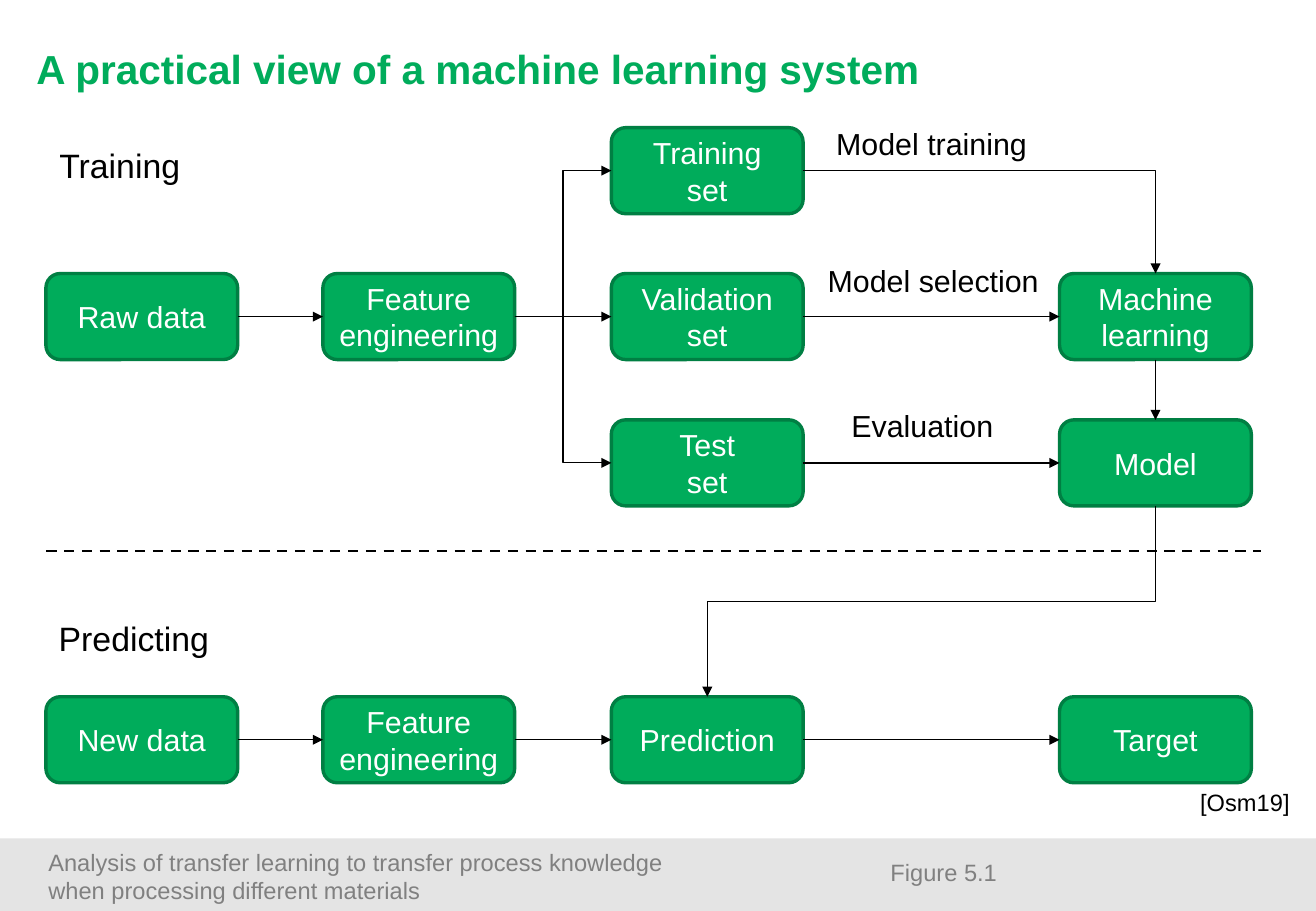
from dataclasses import dataclass

import pptx
import pptx.dml.color
import pptx.enum.dml
import pptx.enum.shapes
import pptx.enum.text
import pptx.oxml
import pptx.oxml.ns
import pptx.shapes.autoshape
import pptx.shapes.connector
import pptx.slide
import pptx.text.text
import pptx.util

Cm = pptx.util.Cm
Align = pptx.enum.text.PP_ALIGN
Anchor = pptx.enum.text.MSO_ANCHOR
ShapeKind = pptx.enum.shapes.MSO_SHAPE
ConnectorKind = pptx.enum.shapes.MSO_CONNECTOR
Color = pptx.dml.color.RGBColor
qn = pptx.oxml.ns.qn

GREEN = Color(0x00, 0xAC, 0x5B)
DARK_GREEN = Color(0x00, 0x7F, 0x43)
BLACK = Color(0x00, 0x00, 0x00)
WHITE = Color(0xFF, 0xFF, 0xFF)
GRAY = Color(0x80, 0x80, 0x80)
LIGHT_GRAY = Color(0xE4, 0xE4, 0xE4)

SLIDE_WIDTH, SLIDE_HEIGHT = 27.51, 19.05
BOX_WIDTH, BOX_HEIGHT = 4.01, 1.8
COLUMNS = (0.96, 6.75, 12.78, 22.15)
ROWS = (2.67, 5.72, 8.78, 14.57)
FOOTER_TOP = 17.53
TOP, LEFT, BOTTOM, RIGHT = range(4)


@dataclass(frozen=True)
class Box:
    name: str
    text: str
    column: int
    row: int


@dataclass(frozen=True)
class Arrow:
    source: str
    target: str
    source_side: int = RIGHT
    target_side: int = LEFT
    bent: bool = False


@dataclass(frozen=True)
class Label:
    text: str
    left: float
    top: float
    width: float
    height: float
    size: int
    color: Color = BLACK
    align: Align = Align.CENTER
    wrap: bool = False


BOXES = (
    Box("raw", "Raw data", 0, 1),
    Box("features", "Feature\nengineering", 1, 1),
    Box("training", "Training\nset", 2, 0),
    Box("validation", "Validation\nset", 2, 1),
    Box("test", "Test\nset", 2, 2),
    Box("learning", "Machine\nlearning", 3, 1),
    Box("model", "Model", 3, 2),
    Box("new", "New data", 0, 3),
    Box("new features", "Feature\nengineering", 1, 3),
    Box("prediction", "Prediction", 2, 3),
    Box("target", "Target", 3, 3),
)

ARROWS = (
    Arrow("raw", "features"),
    Arrow("features", "training", bent=True),
    Arrow("features", "validation"),
    Arrow("features", "test", bent=True),
    Arrow("training", "learning", RIGHT, TOP, bent=True),
    Arrow("validation", "learning"),
    Arrow("test", "model"),
    Arrow("learning", "model", BOTTOM, TOP),
    Arrow("model", "prediction", BOTTOM, TOP, bent=True),
    Arrow("new", "new features"),
    Arrow("new features", "prediction"),
    Arrow("prediction", "target"),
)

LABELS = (
    Label("Training", 0.97, 2.9, 3.07, 1.12, 20),
    Label("Predicting", 0.96, 12.8, 3.68, 1.12, 20),
    Label("Model training", 17.2, 2.49, 4.55, 1.02, 18),
    Label("Model selection", 17.02, 5.36, 4.98, 1.02, 18),
    Label("Evaluation", 17.53, 8.38, 3.5, 1.02, 18),
    Label("[Osm19]", 24.84, 16.36, 2.6, 0.79, 14, align=Align.LEFT),
    Label("Figure 5.1", 18.13, 17.81, 3.2, 0.94, 14, GRAY),
    Label("Analysis of transfer learning to transfer process knowledge\n"
          "when processing different materials",
          0.76, 17.6, 17, 1.4, 14, GRAY, Align.LEFT, True),
)


def write_text(frame: pptx.text.text.TextFrame, text: str, *, size: int,
               color: Color, align: Align = Align.LEFT, bold: bool = False,
               wrap: bool = True, anchor: Anchor = Anchor.TOP) -> None:
    frame.text = text
    frame.word_wrap = wrap
    frame.vertical_anchor = anchor
    for paragraph in frame.paragraphs:
        paragraph.alignment = align
        paragraph.line_spacing = 1.0
        paragraph.font.name = "Arial"
        paragraph.font.size = pptx.util.Pt(size)
        paragraph.font.bold = bold
        paragraph.font.color.rgb = color


def add_title(slide: pptx.slide.Slide) -> None:
    title = slide.shapes.title
    title.left, title.top = Cm(0.76), Cm(0.91)
    title.width, title.height = Cm(26), Cm(2)
    frame = title.text_frame
    frame.margin_left = frame.margin_right = 0
    frame.margin_top = frame.margin_bottom = 0
    frame.auto_size = pptx.enum.text.MSO_AUTO_SIZE.NONE
    write_text(frame, "A practical view of a machine learning system",
               size=24, color=GREEN, bold=True)


def add_footer_band(slide: pptx.slide.Slide) -> None:
    band = slide.shapes.add_shape(
        ShapeKind.RECTANGLE, 0, Cm(FOOTER_TOP),
        Cm(SLIDE_WIDTH), Cm(SLIDE_HEIGHT - FOOTER_TOP))
    band.shadow.inherit = False
    band.fill.solid()
    band.fill.fore_color.rgb = LIGHT_GRAY
    band.line.fill.background()


def add_box(slide: pptx.slide.Slide, box: Box) -> pptx.shapes.autoshape.Shape:
    shape = slide.shapes.add_shape(
        ShapeKind.ROUNDED_RECTANGLE, Cm(COLUMNS[box.column]),
        Cm(ROWS[box.row]), Cm(BOX_WIDTH), Cm(BOX_HEIGHT))
    shape.shadow.inherit = False
    shape.fill.solid()
    shape.fill.fore_color.rgb = GREEN
    shape.line.color.rgb = DARK_GREEN
    shape.line.width = pptx.util.Pt(2)
    write_text(shape.text_frame, box.text, size=18, color=WHITE,
               align=Align.CENTER, anchor=Anchor.MIDDLE)
    return shape


def style_line(connector: pptx.shapes.connector.Connector, width: float) -> None:
    connector.line.color.rgb = BLACK
    connector.line.width = pptx.util.Pt(width)
    connector.element.spPr.append(pptx.oxml.parse_xml(
        f'<a:effectLst {pptx.oxml.ns.nsdecls("a")}/>'))


def turn_downward(connector: pptx.shapes.connector.Connector) -> None:
    width, height = connector.width, connector.height
    connector.left += (width - height) // 2
    connector.top += (height - width) // 2
    connector.width, connector.height = height, width
    transform = connector.element.spPr.find(qn("a:xfrm"))
    transform.attrib.pop("flipH", None)
    transform.set("rot", "5400000")


def add_arrow(slide: pptx.slide.Slide, arrow: Arrow,
              shapes: dict[str, pptx.shapes.autoshape.Shape]) -> None:
    kind = ConnectorKind.ELBOW if arrow.bent else ConnectorKind.STRAIGHT
    connector = slide.shapes.add_connector(kind, 0, 0, 0, 0)
    connector.begin_connect(shapes[arrow.source], arrow.source_side)
    connector.end_connect(shapes[arrow.target], arrow.target_side)
    if arrow.bent and arrow.source_side == BOTTOM:
        turn_downward(connector)
    elif arrow.bent and arrow.target_side == TOP:
        connector.element.spPr.find(qn("a:prstGeom")).set("prst", "bentConnector2")
    style_line(connector, 0.75)
    connector.element.spPr.find(qn("a:ln")).append(pptx.oxml.parse_xml(
        f'<a:tailEnd {pptx.oxml.ns.nsdecls("a")} type="triangle"/>'))


def add_divider(slide: pptx.slide.Slide) -> None:
    divider = slide.shapes.add_connector(
        ConnectorKind.STRAIGHT, Cm(0.97), Cm(11.52), Cm(26.37), Cm(11.52))
    style_line(divider, 1.5)
    divider.line.dash_style = pptx.enum.dml.MSO_LINE.DASH


def add_label(slide: pptx.slide.Slide, label: Label) -> None:
    shape = slide.shapes.add_textbox(
        Cm(label.left), Cm(label.top), Cm(label.width), Cm(label.height))
    write_text(shape.text_frame, label.text, size=label.size,
               color=label.color, align=label.align, wrap=label.wrap)


def main() -> None:
    presentation = pptx.Presentation()
    presentation.slide_width = Cm(SLIDE_WIDTH)
    presentation.slide_height = Cm(SLIDE_HEIGHT)
    slide = presentation.slides.add_slide(presentation.slide_layouts[5])
    add_title(slide)
    add_footer_band(slide)
    shapes = {box.name: add_box(slide, box) for box in BOXES}
    for arrow in ARROWS:
        add_arrow(slide, arrow, shapes)
    add_divider(slide)
    for label in LABELS:
        add_label(slide, label)
    presentation.save("out.pptx")


if __name__ == "__main__":
    main()
